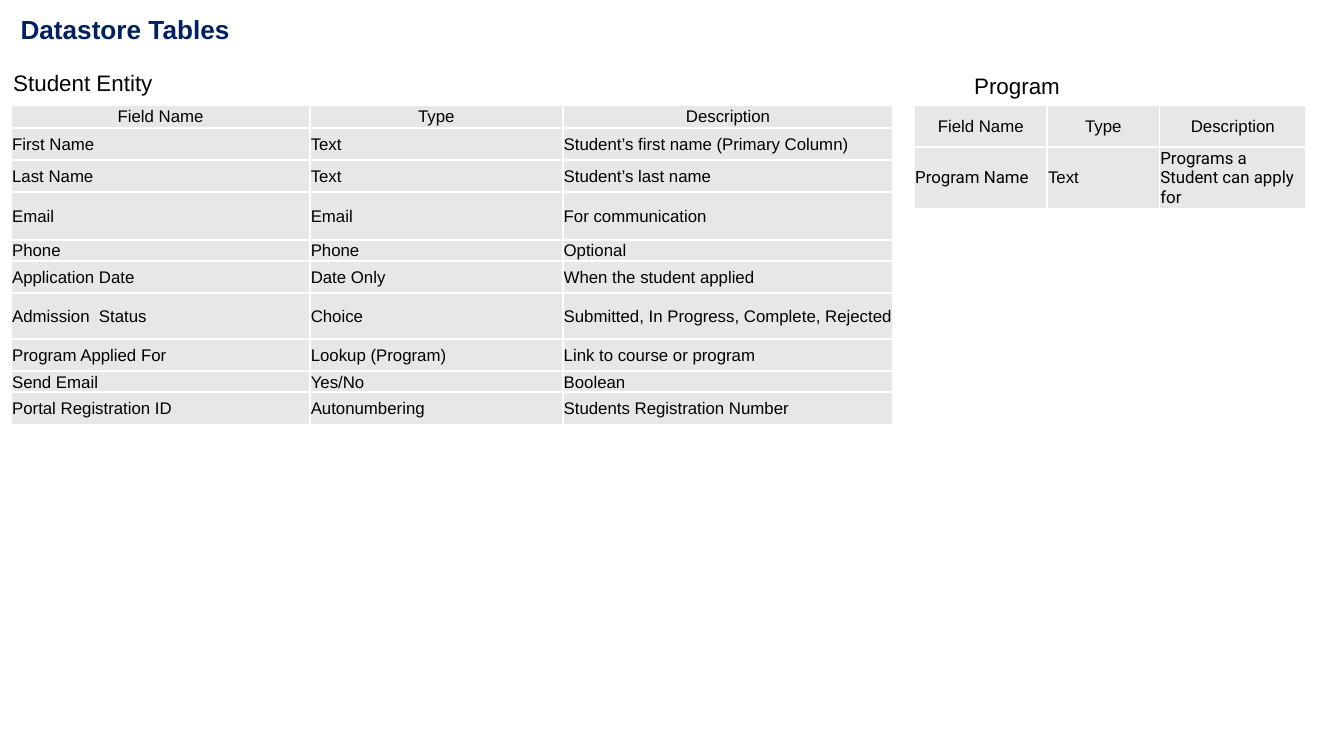
from pptx import Presentation
from pptx.dml.color import RGBColor
from pptx.enum.text import MSO_ANCHOR as Anchor, PP_ALIGN as Align
from pptx.oxml import parse_xml
from pptx.oxml.ns import nsdecls
from pptx.util import Pt

NAVY = RGBColor(0x00, 0x20, 0x60)
BLACK = RGBColor(0x00, 0x00, 0x00)
WHITE = RGBColor(0xFF, 0xFF, 0xFF)
GREY = RGBColor(0xE7, 0xE7, 0xE7)

HEADER = ("Field Name", "Type", "Description")
STUDENT_FIELDS = [
    ("First Name", "Text", "Student’s first name (Primary Column)"),
    ("Last Name", "Text", "Student’s last name"),
    ("Email", "Email", "For communication"),
    ("Phone", "Phone", "Optional"),
    ("Application Date", "Date Only", "When the student applied"),
    ("Admission  Status", "Choice", "Submitted, In Progress, Complete, Rejected"),
    ("Program Applied For", "Lookup (Program)", "Link to course or program"),
    ("Send Email", "Yes/No", "Boolean"),
    ("Portal Registration ID", "Autonumbering", "Students Registration Number"),
]
PROGRAM_FIELDS = [("Program Name", "Text", "Programs a Student can apply for")]


def set_font(p, size, color=BLACK, name="Arial", bold=False):
    p.font.name, p.font.size, p.font.bold = name, Pt(size), bold
    p.font.color.rgb = color


def set_title(slide, text):
    sp = slide.shapes.title
    sp.left, sp.top, sp.width, sp.height = Pt(0), Pt(0), Pt(472.4), Pt(31.6)
    tf = sp.text_frame
    tf.text = text
    tf.vertical_anchor = Anchor.MIDDLE
    tf.margin_left = Pt(11)
    p = tf.paragraphs[0]
    p.alignment = Align.LEFT
    set_font(p, 14, NAVY, bold=True)


def add_caption(slide, text, left, top, width):
    tf = slide.shapes.add_textbox(Pt(left), Pt(top), Pt(width), Pt(21.8)).text_frame
    tf.word_wrap = True
    tf.vertical_anchor = Anchor.MIDDLE
    tf.text = text
    set_font(tf.paragraphs[0], 12)


def add_borders(cell):
    tc_pr = cell._tc.get_or_add_tcPr()
    for i, side in enumerate(("lnL", "lnR", "lnT", "lnB")):
        tc_pr.insert(i, parse_xml(
            f'<a:{side} {nsdecls("a")} w="{Pt(1)}"><a:solidFill>'
            f'<a:srgbClr val="{WHITE}"/></a:solidFill></a:{side}>'))


def format_cell(cell, text, font, align):
    cell.text = text
    cell.vertical_anchor = Anchor.MIDDLE
    cell.margin_left = cell.margin_top = cell.margin_right = Pt(0.5)
    cell.margin_bottom = Pt(0)
    cell.fill.solid()
    cell.fill.fore_color.rgb = GREY
    add_borders(cell)
    p = cell.text_frame.paragraphs[0]
    p.alignment = align
    set_font(p, 9, name=font)


def add_field_table(slide, left, top, widths, heights, fields, fonts):
    rows = [HEADER] + fields
    table = slide.shapes.add_table(
        len(rows), len(widths), Pt(left), Pt(top),
        Pt(sum(widths)), Pt(sum(heights))).table
    for column, width in zip(table.columns, widths):
        column.width = Pt(width)
    for r, (row, height) in enumerate(zip(rows, heights)):
        table.rows[r].height = Pt(height)
        for c, text in enumerate(row):
            font, align = (fonts[c], Align.LEFT) if r else ("Arial", Align.CENTER)
            format_cell(table.cell(r, c), text, font, align)


def main():
    prs = Presentation()
    prs.slide_width, prs.slide_height = Pt(720), Pt(405)
    slide = prs.slides.add_slide(prs.slide_layouts[5])
    set_title(slide, "Datastore Tables")

    # Student table
    add_caption(slide, "Student Entity", 0, 33.2, 292.4)
    add_field_table(
        slide, 6, 56.4, (160, 135.5, 177),
        (12.2, 17.2, 17.2, 25.6, 11.2, 17.2, 24.6, 17.2, 11.2, 17.2),
        STUDENT_FIELDS, ("Arial", "Arial", "Arial"))

    # Program table
    add_caption(slide, "Program", 514.8, 34.8, 199.4)
    add_field_table(
        slide, 489.8, 56.6, (71.2, 60.2, 78.6), (22, 32.5),
        PROGRAM_FIELDS, ("Roboto", "Arial", "Roboto"))

    prs.save("out.pptx")


if __name__ == "__main__":
    main()
